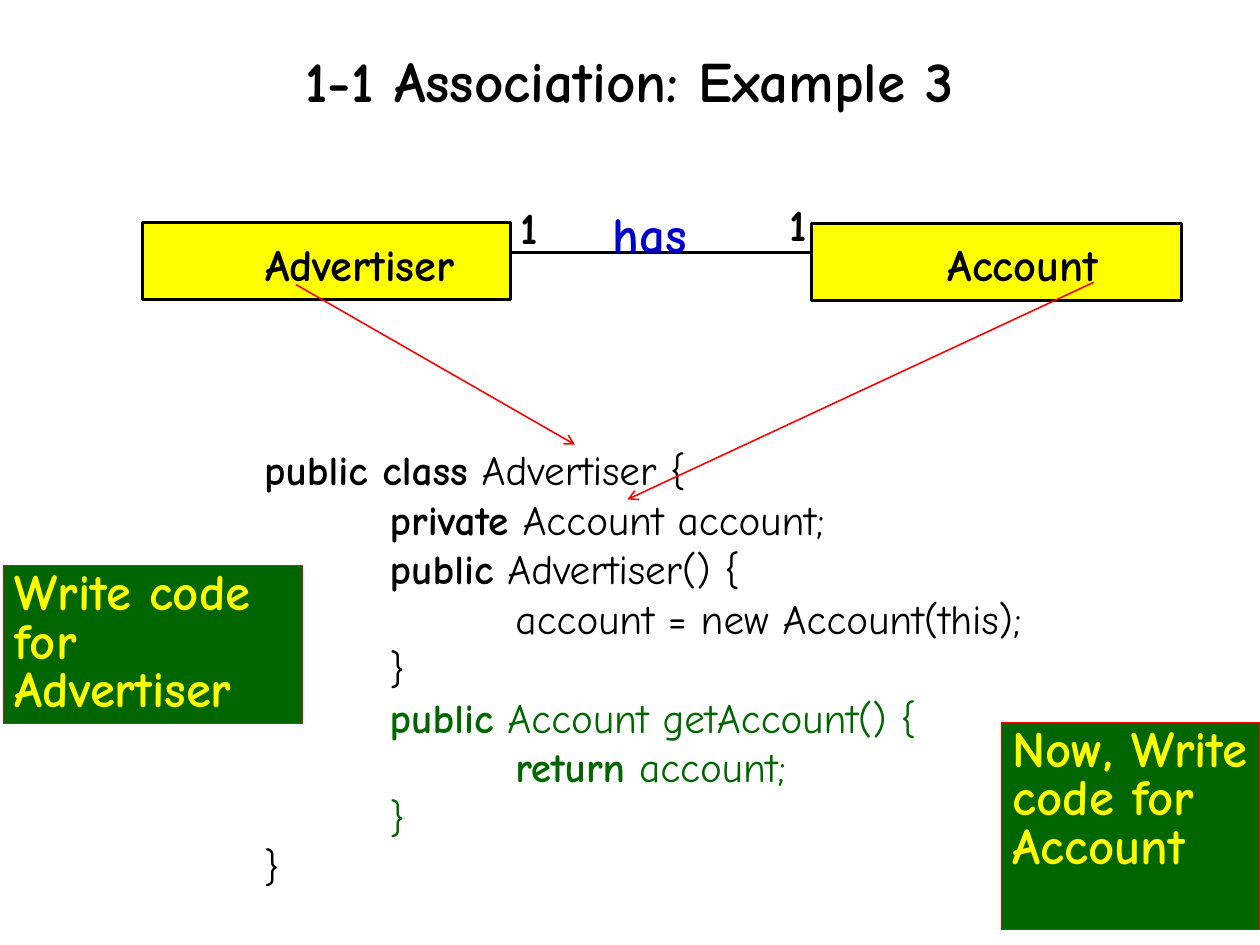
"""Build the slide on a one-to-one association between two classes."""
from lxml import etree
from pptx import Presentation
from pptx.dml.color import RGBColor
from pptx.enum.shapes import MSO_CONNECTOR, MSO_SHAPE
from pptx.enum.text import MSO_ANCHOR, PP_ALIGN
from pptx.oxml.ns import qn
from pptx.util import Cm, Inches, Pt

STRAIGHT = MSO_CONNECTOR.STRAIGHT
RECTANGLE = MSO_SHAPE.RECTANGLE
TOP, MIDDLE = MSO_ANCHOR.TOP, MSO_ANCHOR.MIDDLE
LEFT, CENTER = PP_ALIGN.LEFT, PP_ALIGN.CENTER

WIDTH, HEIGHT = Cm(28), Cm(21)
FONT = "Comic Neue"
TAB = 1.1
PADDING = (0.1, 0.05)
COLORS = {"black": "000000", "yellow": "FFFF00", "red": "FF0000",
          "green": "006600", "blue": "0000CC"}

TITLE = "1-1 Association: Example 3"
CLASSES = [
    ("Account", (7.1, 1.96, 3.24, 0.67), (8.29, 2.07, 1.32, 0.47)),
    ("Advertiser", (1.25, 1.95, 3.22, 0.67), (2.32, 2.07, 1.66, 0.47)),
]
MULTIPLICITIES = [(6.91, 1.72, 0.15, 0.47), (4.55, 1.75, 0.15, 0.47)]
CODE = [
    (0, "public class", " Advertiser {", "black"),
    (1, "private", " Account account;", "black"),
    (1, "public", " Advertiser() {", "black"),
    (2, "", "account = new Account(this);", "black"),
    (1, "", "}", "black"),
    (1, "public", " Account getAccount() {", "green"),
    (2, "return", " account;", "green"),
    (1, "", "}", "green"),
    (0, "", "}", "black"),
]
ARROWS = [((2.59, 2.49), (5.03, 3.89)), ((9.57, 2.47), (5.49, 4.37))]
NOTES = [
    ("Now, Write code for Account", (8.76, 6.32, 2.26, 1.81)),
    ("Write code for Advertiser", (0.03, 4.95, 2.62, 1.38)),
]


def color(name):
    return RGBColor.from_string(COLORS[name])


def inches(values):
    return [Inches(value) for value in values]


def style(font, size, name, bold=None):
    font.name, font.size, font.bold = FONT, Pt(size), bold
    font.color.rgb = color(name)


def prepare(box, padding=(0, 0), wrap=True, anchor=TOP):
    frame = box.text_frame
    frame.margin_left = frame.margin_right = Inches(padding[0])
    frame.margin_top = frame.margin_bottom = Inches(padding[1])
    frame.word_wrap, frame.vertical_anchor = wrap, anchor
    return frame


def write(box, text, size, name, spacing=1.0, align=LEFT, **layout):
    para = prepare(box, **layout).paragraphs[0]
    para.text, para.alignment, para.line_spacing = text, align, spacing
    style(para.font, size, name, True)


def add_text(page, place, *content, **layout):
    write(page.shapes.add_textbox(*inches(place)), *content, **layout)


def add_box(page, place, fill, line, width):
    box = page.shapes.add_shape(RECTANGLE, *inches(place))
    box.shadow.inherit = False
    box.fill.solid()
    box.fill.fore_color.rgb = color(fill)
    box.line.color.rgb = color(line)
    box.line.width = Pt(width)
    return box


def add_line(page, start, end, name, width, arrow=False):
    line = page.shapes.add_connector(STRAIGHT, *inches(start + end))
    line.line.color.rgb = color(name)
    line.line.width = Pt(width)
    if arrow:
        etree.SubElement(line.line._get_or_add_ln(), qn("a:tailEnd"), type="arrow")
    etree.SubElement(line._element.spPr, qn("a:effectLst"))


def add_code(page, place):
    frame = prepare(page.shapes.add_textbox(*inches(place)), (0.11, 0.05))
    for number, (level, keyword, rest, name) in enumerate(CODE):
        para = frame.add_paragraph() if number else frame.paragraphs[0]
        stops = etree.SubElement(para._p.get_or_add_pPr(), qn("a:tabLst"))
        for stop in range(1, 8):
            etree.SubElement(stops, qn("a:tab"), pos=str(Inches(TAB * stop)), algn="l")
        style(para.font, 26, name)
        for text, bold in (("\t" * level + keyword, True), (rest, False)):
            if text:
                span = para.add_run()
                span.text, span.font.bold = text, bold


def main():
    deck = Presentation()
    deck.slide_width, deck.slide_height = WIDTH, HEIGHT
    page = deck.slides.add_slide(deck.slide_layouts[6])
    add_text(page, (0.81, 0.05, 9.4, 1.37), TITLE, 36, "black", spacing=0.88,
             align=CENTER, padding=(0.11, 0.05), anchor=MIDDLE)
    for name, outline, label in CLASSES:
        add_box(page, outline, "yellow", "black", 1.87)
        add_text(page, label, name, 28, "black", wrap=False)
    add_line(page, (7.1, 2.21), (4.46, 2.21), "black", 1.87)
    for place in MULTIPLICITIES:
        add_text(page, place, "1", 28, "black", wrap=False)
    add_code(page, (2.2, 3.84, 8.18, 3.86))
    for start, end in ARROWS:
        add_line(page, start, end, "red", 1, arrow=True)
    add_text(page, (5.26, 1.83, 1.16, 0.53), "has", 32, "blue",
             spacing=0.8, padding=PADDING)
    for text, place in NOTES:
        write(add_box(page, place, "green", "red", 0.75), text, 32, "yellow",
              spacing=0.8, padding=PADDING)
    deck.save("out.pptx")


if __name__ == "__main__":
    main()
